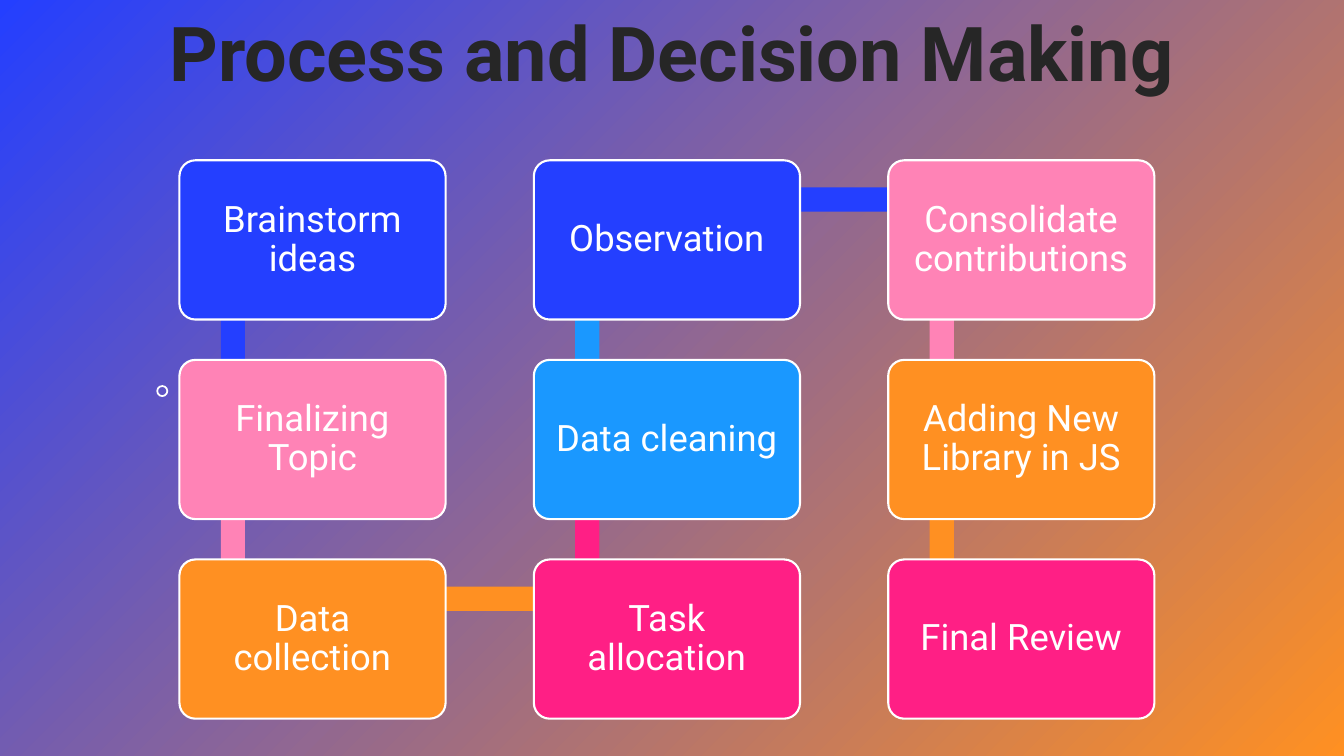
from pptx import Presentation
from pptx.dml.color import RGBColor
from pptx.enum.shapes import MSO_SHAPE as Shape
from pptx.enum.text import MSO_ANCHOR as Anchor, MSO_AUTO_SIZE as AutoSize, PP_ALIGN as Align
from pptx.util import Inches, Pt

WIDTH, HEIGHT = 13.33, 7.5
FONT = "Roboto"
BLUE, PINK, ORANGE = "243FFF", "FF83B6", "FF9022"
MAGENTA, SKY, WHITE, INK = "FF1F85", "1A98FF", "FFFFFF", "262626"

# Card grid: the steps run down, up and down again
GRID_LEFT, GRID_TOP = 1.78, 1.59
COLUMN, ROW = 3.515, 1.98
CARD_WIDTH, CARD_HEIGHT = 2.64, 1.58
ROWS = 3
ANCHOR_X, ANCHOR_Y = 0.53, 0.39  # where the path passes behind a card
BAR = 0.24

STEPS = [
    ("Brainstorm ideas", BLUE),
    ("Finalizing Topic", PINK),
    ("Data collection", ORANGE),
    ("Task allocation", MAGENTA),
    ("Data cleaning", SKY),
    ("Observation", BLUE),
    ("Consolidate contributions", PINK),
    ("Adding New Library in JS", ORANGE),
    ("Final Review", MAGENTA),
]


def color(hex_code):
    return RGBColor.from_string(hex_code)


def card_corner(index):
    column, row = divmod(index, ROWS)
    if column % 2:
        row = ROWS - 1 - row
    return GRID_LEFT + column * COLUMN, GRID_TOP + row * ROW


def add_shape(page, kind, left, top, width, height, fill=None, line=None, weight=1.5):
    shape = page.shapes.add_shape(
        kind, Inches(left), Inches(top), Inches(width), Inches(height))
    shape.shadow.inherit = False
    if fill:
        shape.fill.solid()
        shape.fill.fore_color.rgb = color(fill)
    else:
        shape.fill.background()
    if line:
        shape.line.color.rgb = color(line)
        shape.line.width = Pt(weight)
    else:
        shape.line.fill.background()
    return shape


def write(shape, text, size, hex_code, bold=False):
    frame = shape.text_frame
    frame.word_wrap = True
    frame.auto_size = AutoSize.NONE
    frame.vertical_anchor = Anchor.MIDDLE
    para = frame.paragraphs[0]
    para.text = text
    para.alignment = Align.CENTER
    para.font.name = FONT
    para.font.size = Pt(size)
    para.font.bold = bold
    para.font.color.rgb = color(hex_code)
    return frame


def paint_background(page):
    fill = page.background.fill
    fill.gradient()
    fill.gradient_angle = 315
    for stop, hex_code in zip(fill.gradient_stops, (BLUE, ORANGE)):
        stop.color.rgb = color(hex_code)


def add_title(page, text):
    title = page.shapes.title
    title.left, title.top = 0, 0
    title.width, title.height = Inches(WIDTH), Inches(1.01)
    frame = write(title, text, 54, INK, bold=True)
    frame.paragraphs[0].line_spacing = 1.0


def add_bar(page, index):
    """Join the path points of a step and the next one."""
    (x1, y1), (x2, y2) = card_corner(index), card_corner(index + 1)
    left, top = min(x1, x2) + ANCHOR_X, min(y1, y2) + ANCHOR_Y
    if x1 == x2:
        left, width, height = left - BAR / 2, BAR, ROW
    else:
        top, width, height = top - BAR / 2, COLUMN, BAR
    add_shape(page, Shape.RECTANGLE, left, top, width, height, STEPS[index][1])


def add_card(page, index):
    text, fill = STEPS[index]
    card = add_shape(page, Shape.ROUNDED_RECTANGLE, *card_corner(index),
                     CARD_WIDTH, CARD_HEIGHT, fill, WHITE)
    card.adjustments[0] = 0.1
    frame = write(card, text, 26, WHITE)
    frame.margin_left = frame.margin_right = Inches(0.15)
    frame.margin_top = frame.margin_bottom = Inches(0.15)
    frame.paragraphs[0].line_spacing = 0.9


def main():
    deck = Presentation()
    deck.slide_width, deck.slide_height = Inches(WIDTH), Inches(HEIGHT)
    page = deck.slides.add_slide(deck.slide_layouts[5])

    # Background, small ring and title
    paint_background(page)
    add_shape(page, Shape.OVAL, 1.56, 3.83, 0.1, 0.1, line=WHITE, weight=1.25)
    add_title(page, "Process and Decision Making")

    # Path first, so that the cards cover its ends
    for index in range(len(STEPS) - 1):
        add_bar(page, index)
    for index in range(len(STEPS)):
        add_card(page, index)

    deck.save("out.pptx")


if __name__ == "__main__":
    main()
